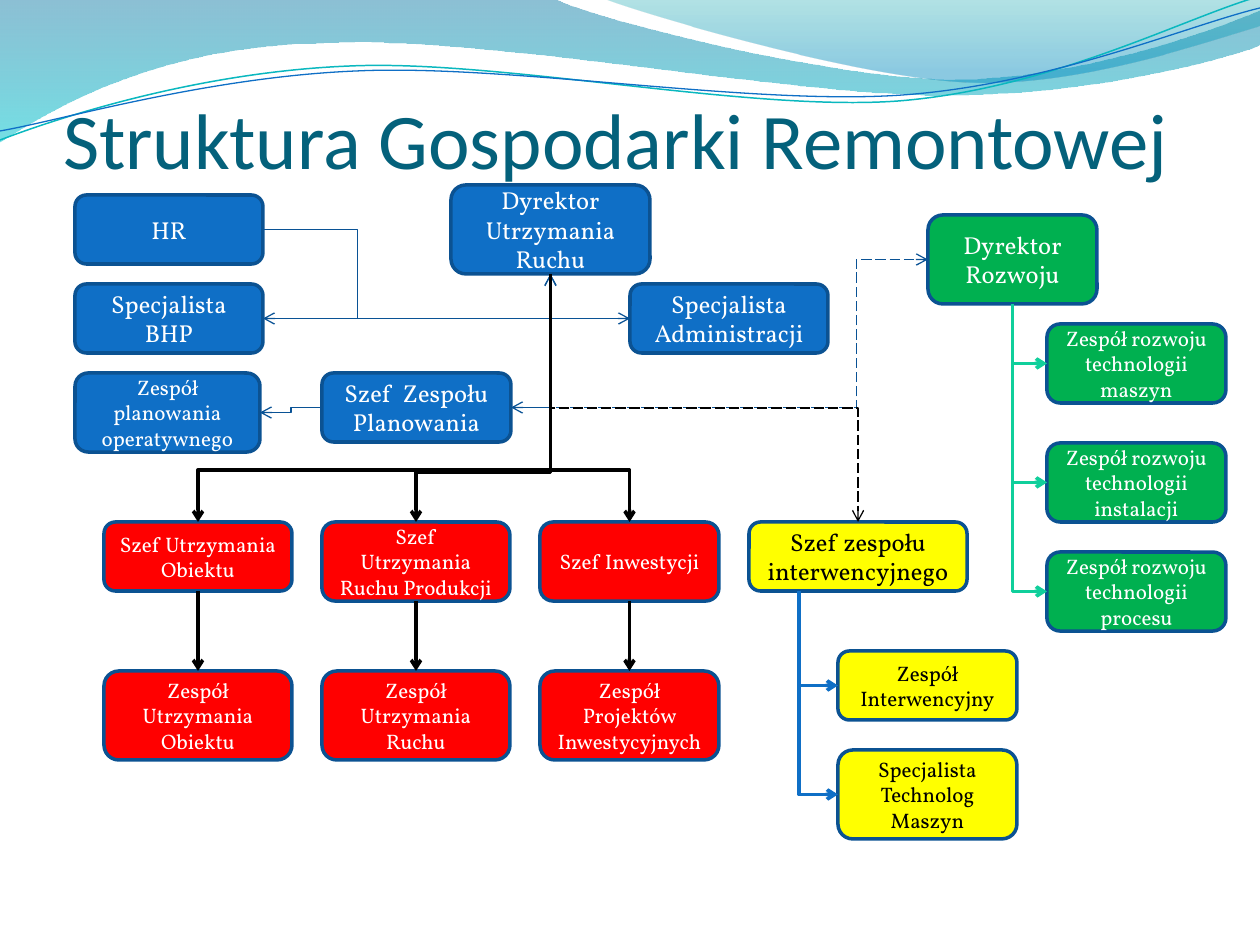
import lxml.etree
import pptx
import pptx.dml.color
import pptx.enum.dml
import pptx.enum.shapes
import pptx.enum.text
import pptx.oxml.ns
import pptx.util

PX = 914400 / 126
TOP, LEFT, BOTTOM, RIGHT = range(4)
SIDE_MIDDLES = {TOP: (0.5, 0), LEFT: (0, 0.5), BOTTOM: (0.5, 1), RIGHT: (1, 0.5)}
COLOURS = {
    "blue": "0F6FC6", "navy": "0B5292", "thin": "095295", "green": "00B050",
    "mint": "10CF9B", "red": "FF0000", "yellow": "FFFF00", "black": "000000",
    "white": "FFFFFF", "title": "04617B", "teal": "0AB8BF", "sea": "0074A1",
    "cyan": "00C6CF", "lagoon": "00A1A9", "sky": "008BBF",
}
qn = pptx.oxml.ns.qn


def px(length):
    return pptx.util.Emu(round(length * PX))


def rgb(name):
    return pptx.dml.color.RGBColor.from_string(COLOURS[name])


def outline(slide, left, top, start, segments, close):
    """Freeform whose segments hold one point (line) or three (cubic curve)."""
    points = [(left + x, top + y) for segment in segments for x, y in segment]
    builder = slide.shapes.build_freeform(left + start[0], top + start[1], scale=PX)
    builder.add_line_segments(points, close=close)
    shape = builder.convert_to_shape()
    shape.shadow.inherit = False
    steps = iter(list(shape.element.spPr.iter(qn("a:lnTo"))))
    for segment in segments:
        step = next(steps)
        if len(segment) == 3:
            step.addprevious(bezier := step.makeelement(qn("a:cubicBezTo")))
            for node in (step, next(steps), next(steps)):
                bezier.append(node[0])
                node.getparent().remove(node)
    return shape


def wave(slide, left, top, start, segments, stops):
    """Filled wave; each stop is colour, position and opacity in percent."""
    shape = outline(slide, left, top, start, segments, True)
    shape.line.fill.background()
    shape.fill.gradient()
    shape.fill.gradient_angle = 270
    nodes = shape.element.spPr.iter(qn("a:gs"))
    for stop, node, (colour, position, opacity) in zip(shape.fill.gradient_stops, nodes, stops):
        stop.color.rgb = rgb(colour)
        node.set("pos", str(position * 1000))
        lxml.etree.SubElement(node[0], qn("a:alpha"), val=str(opacity * 1000))


def swoosh(slide, left, top, start, curves, colour, width):
    shape = outline(slide, left, top, start, curves, False)
    shape.fill.background()
    shape.line.color.rgb = rgb(colour)
    shape.line.width = pptx.util.Pt(width)


def add_header_waves(slide, left, top):
    wave(slide, left, top, (0, 0),
         [[(554, -1)], [(600, 21), (837, 79), (955, 79)], [(1075, 79), (1207, 33), (1260, 11)],
          [(1261, 45)], [(1239, 55), (1096, 96), (940, 95)], [(784, 95), (481, 35), (324, 43)],
          [(163, 45), (58, 105), (-1, 142)]],
         [("sea", 0, 45), ("cyan", 100, 55)])
    wave(slide, left, top, (604, -1),
         [[(641, 14), (859, 78), (969, 82)], [(1079, 87), (1211, 40), (1260, 26)], [(1260, 0)]],
         [("lagoon", 0, 30), ("sky", 80, 45)])
    swoosh(slide, left, top, (0, 140),
           [[(60, 117), (199, 72), (349, 66)], [(498, 59), (747, 112), (898, 101)],
            [(1050, 89), (1182, 19), (1257, -3)]], "teal", 0.85)
    swoosh(slide, left, top, (0, 131),
           [[(59, 121), (207, 77), (357, 71)], [(508, 64), (752, 106), (903, 95)],
            [(1053, 84), (1186, 26), (1260, 8)]], "blue", 0.75)


def add_title(slide, left, top, width, height):
    title = slide.shapes.title
    title.element.getparent().append(title.element)  # in front of the waves
    title.left, title.top, title.width, title.height = map(px, (left, top, width, height))
    frame = title.text_frame
    frame.text = "Struktura Gospodarki Remontowej"
    frame.word_wrap = True
    frame.auto_size = pptx.enum.text.MSO_AUTO_SIZE.NONE
    frame.vertical_anchor = pptx.enum.text.MSO_ANCHOR.BOTTOM
    frame.margin_left = frame.margin_right = frame.margin_bottom = 0
    frame.margin_top = px(6)
    frame.paragraphs[0].alignment = pptx.enum.text.PP_ALIGN.LEFT
    font = frame.paragraphs[0].runs[0].font
    font.name, font.size, font.color.rgb = "Calibri", pptx.util.Pt(45), rgb("title")


def unit(slide, label, left, top, width, height, fill, size=12):
    """One organisational unit: a rounded box with its name."""
    box = slide.shapes.add_shape(pptx.enum.shapes.MSO_SHAPE.ROUNDED_RECTANGLE,
                                 *map(px, (left, top, width, height)))
    box.shadow.inherit = False
    box.fill.solid()
    box.fill.fore_color.rgb = rgb(fill)
    box.line.color.rgb = rgb("navy")
    box.line.width = pptx.util.Pt(2)
    frame = box.text_frame
    frame.text = label
    frame.word_wrap = True
    frame.vertical_anchor = pptx.enum.text.MSO_ANCHOR.MIDDLE
    frame.paragraphs[0].alignment = pptx.enum.text.PP_ALIGN.CENTER
    font = frame.paragraphs[0].runs[0].font
    font.name, font.size = "Vollkorn", pptx.util.Pt(size)
    font.color.rgb = rgb("black" if fill == "yellow" else "white")
    return box


def link(slide, start, end, colour="thin", width=0.75, bends=(), straight=False,
         dashed=False, both=False, shift=0):
    """Arrow between (box, side) pairs; bends are the elbow's adjustments."""
    (x1, y1), (x2, y2) = [(box.left + box.width * SIDE_MIDDLES[side][0],
                           box.top + box.height * SIDE_MIDDLES[side][1])
                          for box, side in (start, end)]
    x1 += px(shift)
    kinds = pptx.enum.shapes.MSO_CONNECTOR
    arrow = slide.shapes.add_connector(kinds.STRAIGHT if straight else kinds.ELBOW,
                                       *map(round, (x1, y1, x2, y2)))
    if not shift:
        arrow.begin_connect(*start)
    arrow.end_connect(*end)
    properties = arrow.element.spPr
    if not straight:
        dx, dy = x2 - x1, y2 - y1
        w, h = abs(dx), abs(dy)
        turn, flip_h, flip_v = 0, dx < 0, dy < 0
        if start[1] in (TOP, BOTTOM):
            w, h = h, w
            turn, flip_h, flip_v = (270, dy > 0, False) if dx > 0 else (90, False, False)
        arrow.left, arrow.top = round((x1 + x2 - w) / 2), round((y1 + y2 - h) / 2)
        arrow.width, arrow.height = round(w), round(h)
        frame = properties.find(qn("a:xfrm"))
        for key, value in (("rot", turn * 60000), ("flipH", flip_h), ("flipV", flip_v)):
            frame.set(key, str(int(value)))
        geometry = properties.find(qn("a:prstGeom"))
        geometry.set("prst", f"bentConnector{2 + len(bends)}")
        for number, bend in enumerate(bends, 1):
            lxml.etree.SubElement(geometry.find(qn("a:avLst")), qn("a:gd"),
                                  name=f"adj{number}", fmla=f"val {round(bend * 100000)}")
    arrow.line.color.rgb = rgb(colour)
    arrow.line.width = pptx.util.Pt(width)
    if dashed:
        arrow.line.dash_style = pptx.enum.dml.MSO_LINE.LONG_DASH
    for tip in ("headEnd", "tailEnd") if both else ("tailEnd",):
        lxml.etree.SubElement(properties.find(qn("a:ln")), qn(f"a:{tip}"), type="arrow")
    lxml.etree.SubElement(properties, qn("a:effectLst"))


def add_management(slide, left, top):
    director = unit(slide, "Dyrektor Utrzymania Ruchu", left + 376, top, 199, 89, "blue", 14)
    hr, safety = [unit(slide, label, left, top + 10 + 89 * row, 188, 69, "blue", 14)
                  for row, label in enumerate(("HR", "Specjalista BHP"))]
    admin = unit(slide, "Specjalista Administracji", left + 555, top + 99, 198, 69, "blue", 14)
    planner = unit(slide, "Szef  Zespołu Planowania", left + 247, top + 188, 189, 69, "blue", 14)
    planning = unit(slide, "Zespół planowania operatywnego", left, top + 188, 185, 79, "blue")
    for end in ((safety, RIGHT), (planner, RIGHT), (admin, LEFT)):
        link(slide, (director, BOTTOM), end)
    link(slide, (planner, LEFT), (planning, RIGHT), bends=[0.5])
    link(slide, (hr, RIGHT), (director, BOTTOM), bends=[0.33, 2])
    return director


def add_production(slide, left, top, director):
    columns = (
        (0, 188, 69, "Szef Utrzymania Obiektu", "Zespół Utrzymania Obiektu", 0.79),
        (218, 188, 79, "Szef Utrzymania Ruchu Produkcji", "Zespół Utrzymania Ruchu", 0.8),
        (436, 179, 79, "Szef Inwestycji", "Zespół Projektów Inwestycyjnych", 0.79),
    )
    for x, width, height, chief_label, team_label, bend in columns:
        chief = unit(slide, chief_label, left + x, top, width, height, "red")
        team = unit(slide, team_label, left + x, top + 149, width, 89, "red")
        link(slide, (director, BOTTOM), (chief, TOP), "black", 2, [bend])
        link(slide, (chief, BOTTOM), (team, TOP), "black", 2, straight=True)


def add_intervention(slide, left, top, director):
    chief = unit(slide, "Szef zespołu interwencyjnego", left, top, 218, 69, "yellow", 14)
    link(slide, (director, BOTTOM), (chief, TOP), "black", bends=[0.54], dashed=True)
    for label, y, height in (("Zespół Interwencyjny", 129, 69),
                             ("Specjalista Technolog Maszyn", 228, 89)):
        team = unit(slide, label, left + 89, top + y, 179, height, "yellow")
        link(slide, (chief, BOTTOM), (team, LEFT), "blue", 2, shift=-59)


def add_development(slide, left, top, director):
    head = unit(slide, "Dyrektor Rozwoju", left, top, 169, 89, "green", 14)
    link(slide, (director, BOTTOM), (head, LEFT), bends=[-9.24, 0.81], dashed=True, both=True)
    for field, y in (("maszyn", 109), ("instalacji", 228), ("procesu", 337)):
        team = unit(slide, f"Zespół rozwoju technologii {field}", left + 119, top + y, 179, 79, "green")
        link(slide, (head, BOTTOM), (team, LEFT), "mint", 2)


def main():
    deck = pptx.Presentation()
    deck.slide_width, deck.slide_height = px(1260), px(945)
    slide = deck.slides.add_slide(deck.slide_layouts[5])
    add_header_waves(slide, 0, 0)
    add_title(slide, 63, 97, 1144, 88)
    director = add_management(slide, 75, 185)
    add_development(slide, 928, 215, director)
    add_production(slide, 104, 522, director)
    add_intervention(slide, 749, 522, director)
    deck.save("out.pptx")


if __name__ == "__main__":
    main()
